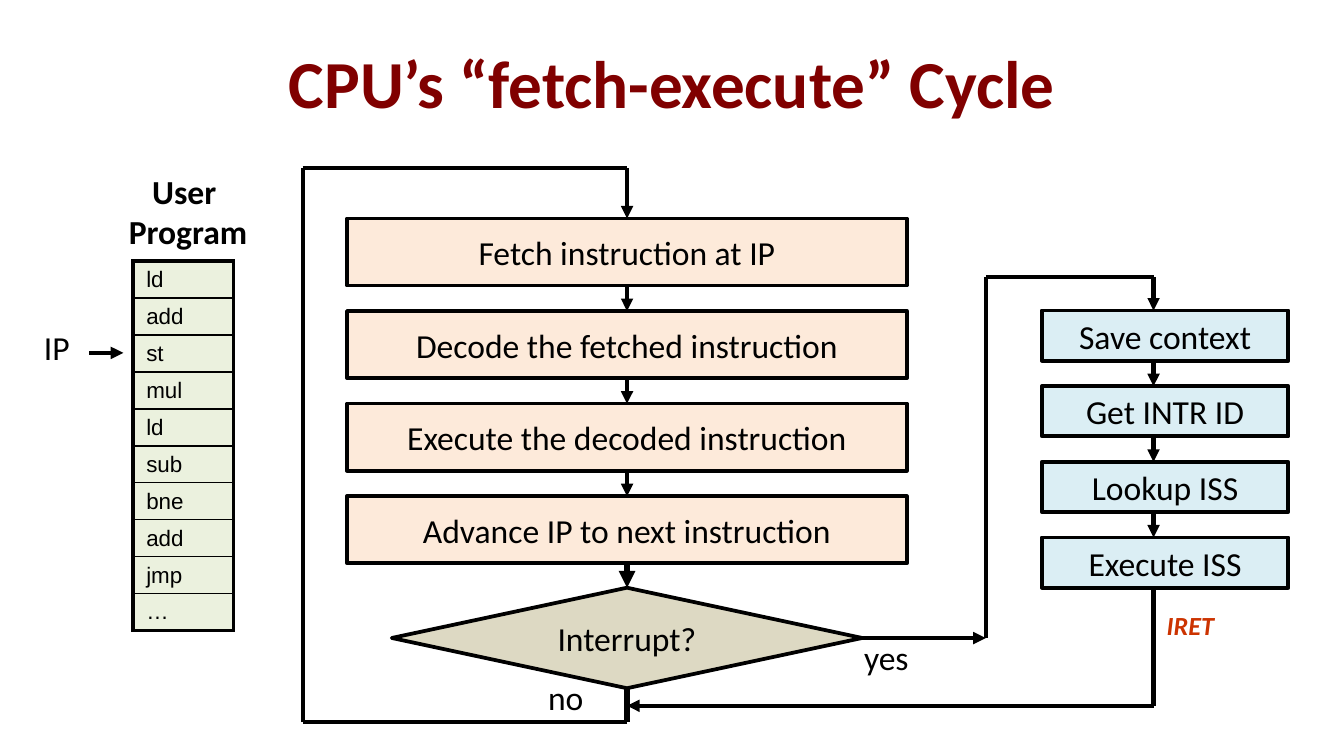
"""Build the slide on the CPU's fetch-execute cycle."""
from itertools import pairwise
from lxml import etree
from pptx import Presentation
from pptx import util as u
from pptx.dml import color
from pptx.enum import shapes, text
from pptx.oxml import ns

Cm, Pt = u.Cm, u.Pt
BLACK = "000000"
LEFT, CENTER = text.PP_ALIGN.LEFT, text.PP_ALIGN.CENTER
RECT, DIAMOND = shapes.MSO_SHAPE.RECTANGLE, shapes.MSO_SHAPE.DIAMOND
TOP, BOTTOM, RIGHT = 0, 2, 3

PROGRAM = ["ld", "add", "st", "mul", "ld", "sub", "bne", "add", "jmp", "…"]
CYCLE = ["Fetch instruction at IP", "Decode the fetched instruction",
         "Execute the decoded instruction", "Advance IP to next instruction"]
HANDLER = ["Save context", "Get INTR ID", "Lookup ISS", "Execute ISS"]
LABELS = [
    (["no"], (10.11, 12.67, 1.19, 1.02), {}, LEFT),
    (["yes"], (16.08, 11.91, 1.37, 1.02), {}, LEFT),
    (["IRET"], (21.8, 11.4, 1.55, 0.86),
     {"size": Pt(14), "bold": True, "italic": True, "color": "CC3300"}, LEFT),
    (["User ", "Program"], (2.16, 3.1, 2.79, 1.8), {"bold": True}, CENTER),
    (["IP"], (0.58, 6.05, 1.02, 1.02), {}, LEFT),
]

CYCLE_X, CYCLE_TOP, CYCLE_STEP = 11.85, 4.13, 1.75
CYCLE_SIZE = (10.58, 1.27)
TEST_TOP, TEST_SIZE = 11.11, (8.89, 1.9)
HANDLER_X, HANDLER_TOP, HANDLER_STEP = 22.02, 5.87, 1.43
HANDLER_SIZE = (4.66, 0.95)
LOOP_LEFT, LOOP_TOP, LOOP_BOTTOM = 5.72, 3.18, 13.65
BRANCH_X, BRANCH_TOP = 18.63, 5.24
FLOW_X, RETURN_Y = 21.8, 13.34


def rgb(value):
    return color.RGBColor.from_string(value)


def write(tf, lines, align=CENTER, **formats):
    formats = {"size": Pt(18), "name": "Calibri", "color": BLACK} | formats
    shade = formats.pop("color")
    for i, line in enumerate(lines):
        p = tf.add_paragraph() if i else tf.paragraphs[0]
        p.alignment = align
        r = p.add_run()
        r.text = line
        for key, value in formats.items():
            setattr(r.font, key, value)
        r.font.color.rgb = rgb(shade)


def add_text(s, lines, at, align, **formats):
    tf = s.shapes.add_textbox(*map(Cm, at)).text_frame
    tf.word_wrap = False
    tf.auto_size = text.MSO_AUTO_SIZE.SHAPE_TO_FIT_TEXT
    write(tf, lines, align, **formats)
    return tf


def add_box(s, kind, label, center, top, size, fill):
    sp = s.shapes.add_shape(kind, *map(Cm, (center - size[0] / 2, top, *size)))
    sp.shadow.inherit = False
    sp.fill.solid()
    sp.fill.fore_color.rgb = rgb(fill)
    sp.line.color.rgb = rgb(BLACK)
    sp.line.width = Pt(2)
    sp.text_frame.word_wrap = False
    sp.text_frame.vertical_anchor = text.MSO_ANCHOR.MIDDLE
    write(sp.text_frame, [label])
    return sp


def add_column(s, labels, center, top, step, size, fill):
    return [add_box(s, RECT, label, center, top + i * step, size, fill)
            for i, label in enumerate(labels)]


def add_line(s, start=(0, 0), end=(0, 0), arrow=False, width=2.25,
             begin_join=None, end_join=None):
    cx = s.shapes.add_connector(shapes.MSO_CONNECTOR.STRAIGHT,
                                *map(Cm, (*start, *end)))
    if begin_join:
        cx.begin_connect(*begin_join)
    if end_join:
        cx.end_connect(*end_join)
    cx.line.color.rgb = rgb(BLACK)
    cx.line.width = Pt(width)
    if arrow:
        etree.SubElement(cx.line._get_or_add_ln(), ns.qn("a:tailEnd"), type="triangle")
    etree.SubElement(cx._element.spPr, ns.qn("a:effectLst"))


def add_border(tc_pr, side, width):
    ln = etree.SubElement(tc_pr, ns.qn(f"a:ln{side}"), w=str(Pt(width)))
    fill = etree.SubElement(ln, ns.qn("a:solidFill"))
    etree.SubElement(fill, ns.qn("a:srgbClr"), val=BLACK)


def add_program(s):
    rows = len(PROGRAM)
    table = s.shapes.add_table(rows, 1, *map(Cm, (2.51, 4.93, 1.9, 0.7 * rows))).table
    table.first_row = table.horz_banding = False
    for i, word in enumerate(PROGRAM):
        table.rows[i].height = Cm(0.7)
        cell = table.cell(i, 0)
        cell.margin_top = cell.margin_bottom = Cm(0.1)
        cell.vertical_anchor = text.MSO_ANCHOR.MIDDLE
        write(cell.text_frame, [word], LEFT, size=Pt(12), name="Arial")
        cell.text_frame.paragraphs[0].space_before = Pt(2.4)
        widths = {"L": 2.25, "R": 2.25, "T": 1 if i else 2.25,
                  "B": 1 if i < rows - 1 else 2.25}
        for side, width in widths.items():
            add_border(cell._tc.get_or_add_tcPr(), side, width)
        cell.fill.solid()
        cell.fill.fore_color.rgb = rgb("EBF1DE")


def add_flow(s):
    cycle = add_column(s, CYCLE, CYCLE_X, CYCLE_TOP, CYCLE_STEP, CYCLE_SIZE, "FDEADA")
    test = add_box(s, DIAMOND, "Interrupt?", CYCLE_X, TEST_TOP, TEST_SIZE, "DDD9C3")
    add_column(s, HANDLER, HANDLER_X, HANDLER_TOP, HANDLER_STEP, HANDLER_SIZE, "DBEEF4")

    for a, b in pairwise([*cycle, test]):
        add_line(s, arrow=True, width=3 if b is test else 2.25,
                 begin_join=(a, BOTTOM), end_join=(b, TOP))
    add_line(s, end=(CYCLE_X, LOOP_BOTTOM), width=3, begin_join=(test, BOTTOM))
    loop = [(CYCLE_X, LOOP_BOTTOM), (LOOP_LEFT, LOOP_BOTTOM),
            (LOOP_LEFT, LOOP_TOP), (CYCLE_X, LOOP_TOP)]
    for a, b in pairwise(loop):
        add_line(s, a, b)
    add_line(s, loop[-1], arrow=True, end_join=(cycle[0], TOP))

    branch_y = TEST_TOP + TEST_SIZE[1] / 2
    add_line(s, end=(BRANCH_X, branch_y), arrow=True, begin_join=(test, RIGHT))
    add_line(s, (BRANCH_X, branch_y), (BRANCH_X, BRANCH_TOP))
    add_line(s, (BRANCH_X, BRANCH_TOP), (FLOW_X, BRANCH_TOP))
    tops = [HANDLER_TOP + i * HANDLER_STEP for i in range(len(HANDLER))]
    bottoms = [top + HANDLER_SIZE[1] for top in tops]
    for y1, y2 in zip([BRANCH_TOP, *bottoms], tops):
        add_line(s, (FLOW_X, y1), (FLOW_X, y2), arrow=True)
    add_line(s, (FLOW_X, bottoms[-1]), (FLOW_X, RETURN_Y))
    add_line(s, (FLOW_X, RETURN_Y), (CYCLE_X, RETURN_Y), arrow=True)


def main():
    prs = Presentation()
    prs.slide_width, prs.slide_height = Cm(25.4), Cm(14.29)
    s = prs.slides.add_slide(prs.slide_layouts[6])
    tf = add_text(s, ["CPU’s “fetch-execute” Cycle"], (1.27, 0.58, 22.86, 1.93),
                  CENTER, size=Pt(36), bold=True, color="800000")
    tf.word_wrap = True
    tf.auto_size = text.MSO_AUTO_SIZE.NONE
    tf.vertical_anchor = text.MSO_ANCHOR.MIDDLE
    add_program(s)
    add_flow(s)
    for lines, at, formats, align in LABELS:
        add_text(s, lines, at, align, **formats)
    add_line(s, (1.69, 6.67), (2.33, 6.67), arrow=True)
    prs.save("out.pptx")


if __name__ == "__main__":
    main()
